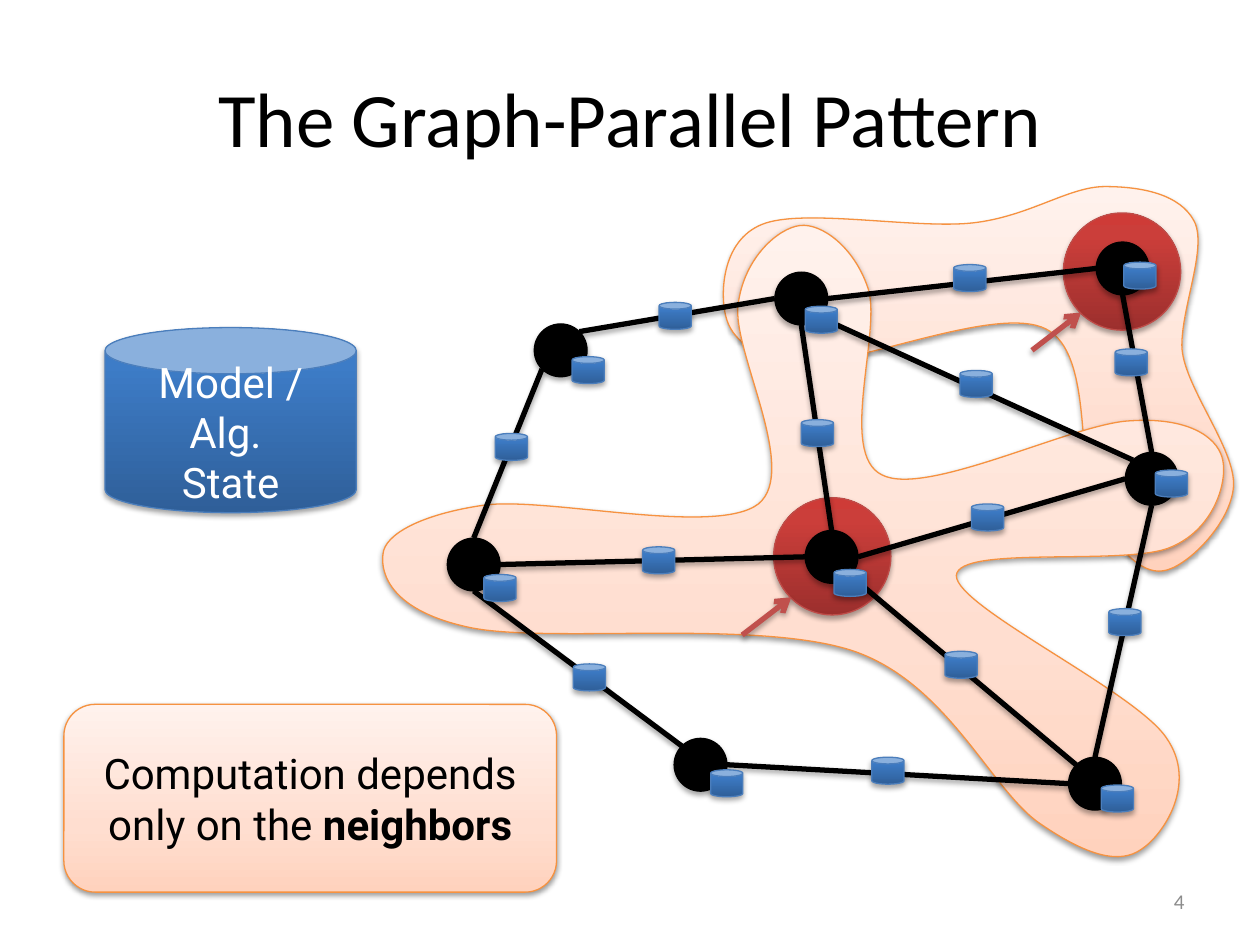
from math import cos, pi, sin

from lxml.etree import SubElement
from pptx import Presentation
from pptx.dml.color import RGBColor
from pptx.enum.shapes import MSO_CONNECTOR as Connector, MSO_SHAPE as Shape
from pptx.enum.text import MSO_ANCHOR as Anchor, PP_ALIGN as Align
from pptx.oxml.ns import qn
from pptx.util import Pt

COLORS = {"black": "000000", "white": "FFFFFF", "gray": "8C8C8C", "arrow": "C0504D",
          "orange line": "F69240", "red line": "BF4C48", "blue line": "4B7EBC"}
# Gradient stops run from bottom to top
GRADIENTS = {
    "orange": ((0, "FFD2BD"), (35, "FFDED0"), (100, "FFF2ED")),
    "red": ((0, "9C2F2D"), (80, "CB3E3A"), (100, "CE3B37")),
    "blue": ((0, "2F5F99"), (80, "3D7CC7"), (100, "3A7CCB")),
}
NODE_SIZE, HALO_SIZE = 30.2, 67
CAN_WIDTH, CAN_HEIGHT = 18.4, 15.4

# Vertex: centre, then top left corner of its data
NODES = {
    "a": ((320.4, 200.2), (326.9, 203.8)),
    "b": ((457.9, 170.6), (460.1, 175)),
    "c": ((641.5, 153.4), (642.2, 149.8)),
    "d": ((658.1, 273.6), (660.2, 268.6)),
    "e": ((270.7, 322.6), (276.5, 328.3)),
    "f": ((475.2, 318.2), (476.6, 325.4)),
    "g": ((400.3, 437), (406.1, 439.9)),
    "h": ((625.7, 447.8), (629.3, 448.6)),
}
# Compass points on a vertex, in eighths of a turn clockwise from east
COMPASS = {name: turn * pi / 4 for turn, name in
           enumerate(("E", "SE", "S", "SW", "W", "NW", "N", "NE"))}
# Edge: vertex and side at each end, then top left corner of its data
EDGES = [
    ("f", "N", "b", "S", (457.9, 239.8)), ("e", "E", "f", "W", (367.2, 312.5)),
    ("f", "E", "d", "W", (555.1, 288)), ("f", "SE", "h", "NW", (540, 372.2)),
    ("g", "E", "h", "W", (498.2, 432.7)), ("b", "W", "a", "NE", (376.6, 172.8)),
    ("g", "NW", "e", "S", (327.6, 379.4)), ("a", "SW", "e", "N", (283, 247.7)),
    ("h", "N", "d", "S", (633.6, 347.8)), ("c", "S", "d", "N", (637.2, 199.4)),
    ("b", "SE", "d", "NW", (548.6, 211.7)), ("c", "W", "b", "E", (545, 151.2)),
]
# Neighborhood outlines: start, then two control points and an end per curve
UPPER_REGION = [
    (631.4, 106.6),
    (610.6, 106.6), (588.2, 123.8), (555.8, 127.4),
    (522.7, 131), (458.6, 118.8), (435.6, 128.2),
    (411.8, 137.5), (411.1, 169.9), (415.4, 182.9),
    (419.8, 195.8), (432.7, 205.2), (463, 206.6),
    (493.2, 207.4), (570.2, 174.2), (597.6, 187.9),
    (625, 201.6), (614.9, 266.4), (625.7, 289.4),
    (637.2, 312.5), (651.6, 328.3), (664.6, 326.2),
    (677.5, 324.7), (703.4, 299.5), (704.9, 277.9),
    (706.3, 256.3), (675.4, 219.6), (675.4, 197.3),
    (675.4, 175), (689.8, 141.8), (682.6, 126.7),
    (674.6, 110.9), (652.3, 106.6), (631.4, 106.6),
]
LOWER_REGION = [
    (433.4, 288),
    (457.2, 268.6), (417.6, 199.4), (421.9, 173.5),
    (425.5, 146.9), (445, 130.3), (457.2, 128.9),
    (469.4, 127.4), (488.2, 141.1), (496.1, 164.9),
    (504, 189.4), (478.8, 259.2), (504, 271.4),
    (529.2, 284.4), (613.4, 241.9), (645.8, 240.5),
    (678.2, 238.3), (694.8, 249.1), (698.4, 261.4),
    (702, 273.6), (694.8, 301.7), (669.6, 312.5),
    (644.4, 324), (547.2, 311), (546.5, 329),
    (546.5, 347), (649.4, 395.3), (666.7, 421.9),
    (684.7, 447.8), (664.6, 477.4), (652.3, 485.3),
    (640.1, 493.9), (622.1, 489.6), (594.7, 470.9),
    (566.6, 452.2), (542.2, 391), (488.2, 372.2),
    (433.4, 353.5), (313.2, 367.9), (268.6, 358.6),
    (223.9, 349.2), (217.4, 328.3), (218.9, 316.8),
    (219.6, 305.3), (241.2, 293.8), (276.5, 288.7),
    (312.5, 283.7), (409, 306.7), (433.4, 288),
]


def color(name):
    return RGBColor.from_string(COLORS[name])


def add_shadow(item, distance=1.8, opacity=35):
    effects = SubElement(item._element.spPr, qn("a:effectLst"))
    shadow = SubElement(effects, qn("a:outerShdw"), blurRad=str(Pt(3.1)),
                        dist=str(Pt(distance)), dir="5400000", rotWithShape="0")
    tint = SubElement(shadow, qn("a:srgbClr"), val=COLORS["black"])
    SubElement(tint, qn("a:alpha"), val=str(opacity * 1000))


def style_shape(shape, fill):
    """Fill with a gradient or plain black, and add the outline and shadow."""
    if fill in GRADIENTS:
        shape.fill.gradient()
        shape.fill.gradient_angle = 90
        stops = next(shape._element.spPr.iter(qn("a:gsLst")))
        for stop in list(stops):
            stops.remove(stop)
        for position, value in GRADIENTS[fill]:
            stop = SubElement(stops, qn("a:gs"), pos=str(position * 1000))
            SubElement(stop, qn("a:srgbClr"), val=value)
        shape.line.color.rgb = color(fill + " line")
    else:
        shape.fill.solid()
        shape.fill.fore_color.rgb = color(fill)
        shape.line.color.rgb = color(fill)
    shape.line.width = Pt(0.75)
    add_shadow(shape, *((1.6, 38) if fill == "orange" else ()))


def add_shape(slide, kind, left, top, width, height, fill):
    shape = slide.shapes.add_shape(kind, Pt(left), Pt(top), Pt(width), Pt(height))
    style_shape(shape, fill)
    return shape


def add_circle(slide, center, size, fill):
    add_shape(slide, Shape.OVAL, center[0] - size / 2, center[1] - size / 2,
              size, size, fill)


def add_region(slide, points):
    """Draw a closed outline, turning each three segments into one curve."""
    start, *rest = [(Pt(x), Pt(y)) for x, y in points]
    builder = slide.shapes.build_freeform(*start)
    builder.add_line_segments(rest, close=True)
    shape = builder.convert_to_shape()
    outline = next(shape._element.iter(qn("a:path")))
    segments = outline.findall(qn("a:lnTo"))
    for first in range(0, len(segments), 3):
        curve = SubElement(outline, qn("a:cubicBezTo"))
        for segment in segments[first:first + 3]:
            curve.append(segment[0])
            outline.remove(segment)
    outline.append(outline.find(qn("a:close")))
    style_shape(shape, "orange")


def add_line(slide, start, end, line_color="black", arrow=False):
    line = slide.shapes.add_connector(Connector.STRAIGHT, *map(Pt, (*start, *end)))
    line.line.color.rgb = color(line_color)
    line.line.width = Pt(3)
    if arrow:
        SubElement(line.line._get_or_add_ln(), qn("a:tailEnd"), type="arrow")
    add_shadow(line)


def add_focus(slide, center, arrow_start, arrow_end):
    add_circle(slide, center, HALO_SIZE, "red")
    add_line(slide, arrow_start, arrow_end, "arrow", arrow=True)


def rim_point(node, side):
    (x, y), _ = NODES[node]
    radius, angle = NODE_SIZE / 2, COMPASS[side]
    return x + radius * cos(angle), y + radius * sin(angle)


def add_text_box(slide, left, top, width, height):
    return slide.shapes.add_textbox(Pt(left), Pt(top), Pt(width), Pt(height))


def write_text(shape, *lines, font, size, text_color, align=Align.CENTER, bold_end=""):
    frame = shape.text_frame
    frame.word_wrap = True
    frame.vertical_anchor = Anchor.MIDDLE
    for index, text in enumerate(lines):
        paragraph = frame.add_paragraph() if index else frame.paragraphs[0]
        paragraph.alignment = align
        paragraph.font.name = font
        paragraph.font.size = Pt(size)
        paragraph.font.color.rgb = color(text_color)
        paragraph.add_run().text = text
    if bold_end:
        run = paragraph.add_run()
        run.text = bold_end
        run.font.bold = True
    for run in (run for paragraph in frame.paragraphs for run in paragraph.runs):
        run.font.name = font
        run.font.size = Pt(size)
        run.font.color.rgb = color(text_color)


def main():
    presentation = Presentation()
    presentation.slide_width, presentation.slide_height = Pt(720), Pt(540)
    slide = presentation.slides.add_slide(presentation.slide_layouts[6])

    # Neighborhoods and the vertices in focus
    add_region(slide, UPPER_REGION)
    add_focus(slide, (641.2, 155.2), (589.7, 200.2), (617.8, 178.6))
    add_region(slide, LOWER_REGION)
    add_focus(slide, (475.6, 317.9), (424.1, 362.9), (452.2, 341.3))

    # Title and slide number
    write_text(add_text_box(slide, 36, 21.6, 648, 90), "The Graph-Parallel Pattern",
               font="Calibri", size=44, text_color="black")
    write_text(add_text_box(slide, 516, 500.5, 168, 28.8), "4", font="Calibri",
               size=12, text_color="gray", align=Align.RIGHT)

    # Graph with data on each edge and vertex
    for start, start_side, end, end_side, _ in EDGES:
        add_line(slide, rim_point(start, start_side), rim_point(end, end_side))
    for center, _ in NODES.values():
        add_circle(slide, center, NODE_SIZE, "black")
    for *_, corner in [*NODES.values(), *EDGES]:
        add_shape(slide, Shape.CAN, *corner, CAN_WIDTH, CAN_HEIGHT, "blue")

    # Model state and callout
    state = add_shape(slide, Shape.CAN, 60, 187.2, 143.6, 105.8, "blue")
    write_text(state, "Model / Alg. ", "State", font="Roboto", size=24, text_color="white")
    callout = add_shape(slide, Shape.ROUNDED_RECTANGLE, 36.5, 402.5, 281.5, 107.3, "orange")
    write_text(callout, "Computation depends only on the ", bold_end="neighbors",
               font="Roboto", size=24, text_color="black")

    presentation.save("out.pptx")


if __name__ == "__main__":
    main()
